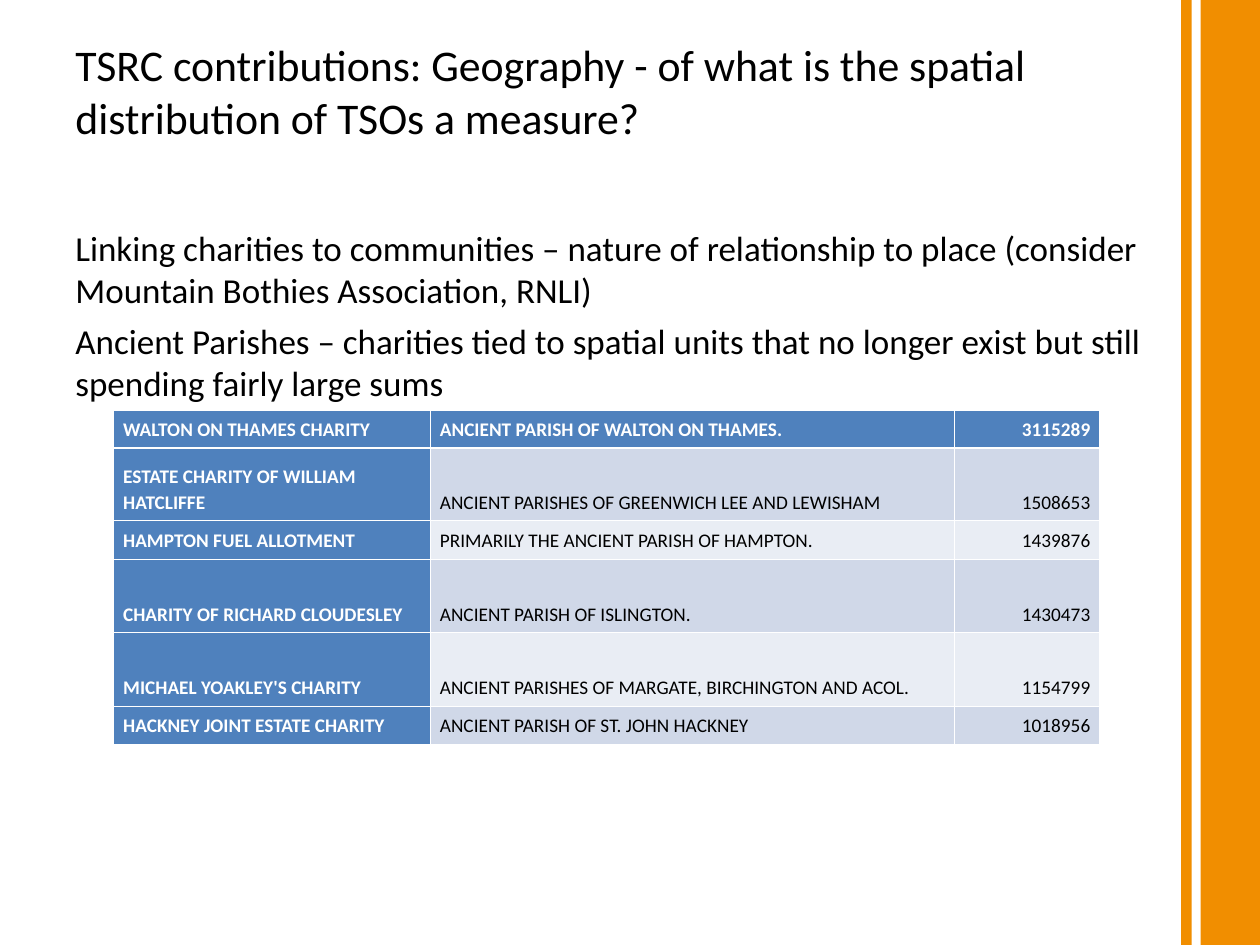
from dataclasses import dataclass
from pptx import Presentation
from pptx.dml.color import RGBColor as RGB
from pptx.enum.shapes import MSO_SHAPE as Shape
from pptx.enum.text import MSO_ANCHOR as Anchor, PP_ALIGN as Align
from pptx.oxml.ns import qn
from pptx.util import Pt
from lxml.etree import SubElement as Sub


@dataclass(frozen=True)
class Theme:
    face: str = "Calibri"
    ink: str = "000000"
    white: str = "FFFFFF"
    bar: str = "F18E00"
    head: str = "4F81BD"
    bands: tuple = ("E9EDF4", "D0D8E8")
    title: float = 25
    body: float = 20
    cell: float = 11
    thin: float = 0.45
    thick: float = 1.5


class Page:
    def __init__(self, slide, theme):
        self.slide = slide
        self.theme = theme

    def font(self, para, size, color, bold=False):
        font = para.font
        font.name = self.theme.face
        font.size = Pt(size)
        font.bold = bold
        font.color.rgb = RGB.from_string(color)

    def bar(self, x, wide):
        bar = self.slide.shapes.add_shape(Shape.RECTANGLE, Pt(x), 0, Pt(wide), Pt(540))
        bar.shadow.inherit = False
        bar.fill.solid()
        bar.fill.fore_color.rgb = RGB.from_string(self.theme.bar)
        bar.line.fill.background()

    def text(self, x, y, wide, high, lines, size, inset=3.6, gap=0):
        box = self.slide.shapes.add_textbox(Pt(x), Pt(y), Pt(wide), Pt(high))
        frame = box.text_frame
        frame.word_wrap = True
        frame.vertical_anchor = Anchor.TOP
        frame.margin_top = frame.margin_bottom = Pt(inset)
        for num, line in enumerate(lines):
            para = frame.add_paragraph() if num else frame.paragraphs[0]
            para.text = line
            para.space_before = Pt(gap if num else 0)
            self.font(para, size, self.theme.ink)

    def edge(self, props, side, width):
        line = Sub(props, qn(f"a:{side}"), w=str(Pt(width)))
        Sub(Sub(line, qn("a:solidFill")), qn("a:srgbClr"), val=self.theme.white)

    def cell(self, cell, text, row, col):
        theme = self.theme
        key = row == 0 or col == 0
        cell.vertical_anchor = Anchor.BOTTOM
        cell.margin_left = cell.margin_right = Pt(5.4)
        cell.margin_top = cell.margin_bottom = Pt(3.6)
        props = cell._tc.get_or_add_tcPr()
        for side in ("lnL", "lnR", "lnT", "lnB"):
            heavy = (row, side) in ((0, "lnB"), (1, "lnT"))
            self.edge(props, side, theme.thick if heavy else theme.thin)
        cell.fill.solid()
        cell.fill.fore_color.rgb = RGB.from_string(theme.head if key else theme.bands[row % 2])
        para = cell.text_frame.paragraphs[0]
        para.text = text
        para.line_spacing = 1.07
        para.alignment = Align.RIGHT if col == 2 else Align.LEFT
        self.font(para, theme.cell, theme.white if key else theme.ink, key)

    def table(self, x, y, wides, highs, rows):
        grid = self.slide.shapes.add_table(
            len(rows), len(wides), Pt(x), Pt(y), Pt(sum(wides)), Pt(sum(highs))
        ).table
        for col, wide in zip(grid.columns, wides):
            col.width = Pt(wide)
        for row, high in zip(grid.rows, highs):
            row.height = Pt(high)
        for r, row in enumerate(rows):
            for c, text in enumerate(row):
                self.cell(grid.cell(r, c), text, r, c)


TITLE = "TSRC contributions: Geography - of what is the spatial distribution of TSOs a measure?"
POINTS = [
    "Linking charities to communities – nature of relationship to place "
    "(consider Mountain Bothies Association, RNLI)",
    "Ancient Parishes – charities tied to spatial units that no longer exist "
    "but still spending fairly large sums",
]
FUNDS = [
    ("WALTON ON THAMES CHARITY", "ANCIENT PARISH OF WALTON ON THAMES.", "3115289"),
    ("ESTATE CHARITY OF WILLIAM HATCLIFFE", "ANCIENT PARISHES OF GREENWICH LEE AND LEWISHAM", "1508653"),
    ("HAMPTON FUEL ALLOTMENT", "PRIMARILY THE ANCIENT PARISH OF HAMPTON.", "1439876"),
    ("CHARITY OF RICHARD CLOUDESLEY", "ANCIENT PARISH OF ISLINGTON.", "1430473"),
    ("MICHAEL YOAKLEY'S CHARITY", "ANCIENT PARISHES OF MARGATE, BIRCHINGTON AND ACOL.", "1154799"),
    ("HACKNEY JOINT ESTATE CHARITY", "ANCIENT PARISH OF ST. JOHN HACKNEY", "1018956"),
]


def main():
    deck = Presentation()
    deck.slide_width, deck.slide_height = Pt(720), Pt(540)
    theme = Theme()
    page = Page(deck.slides.add_slide(deck.slide_layouts[6]), theme)
    page.bar(686, 34)
    page.bar(675, 6)
    page.text(36, 21.6, 648, 90, [TITLE], theme.title, inset=0)
    page.text(36, 126, 648, 356, POINTS, theme.body, gap=5)
    page.table(65, 234.5, (181, 299.5, 83), (21.5, 41.5, 22, 42, 42, 22), FUNDS)
    deck.save("out.pptx")


if __name__ == "__main__":
    main()
